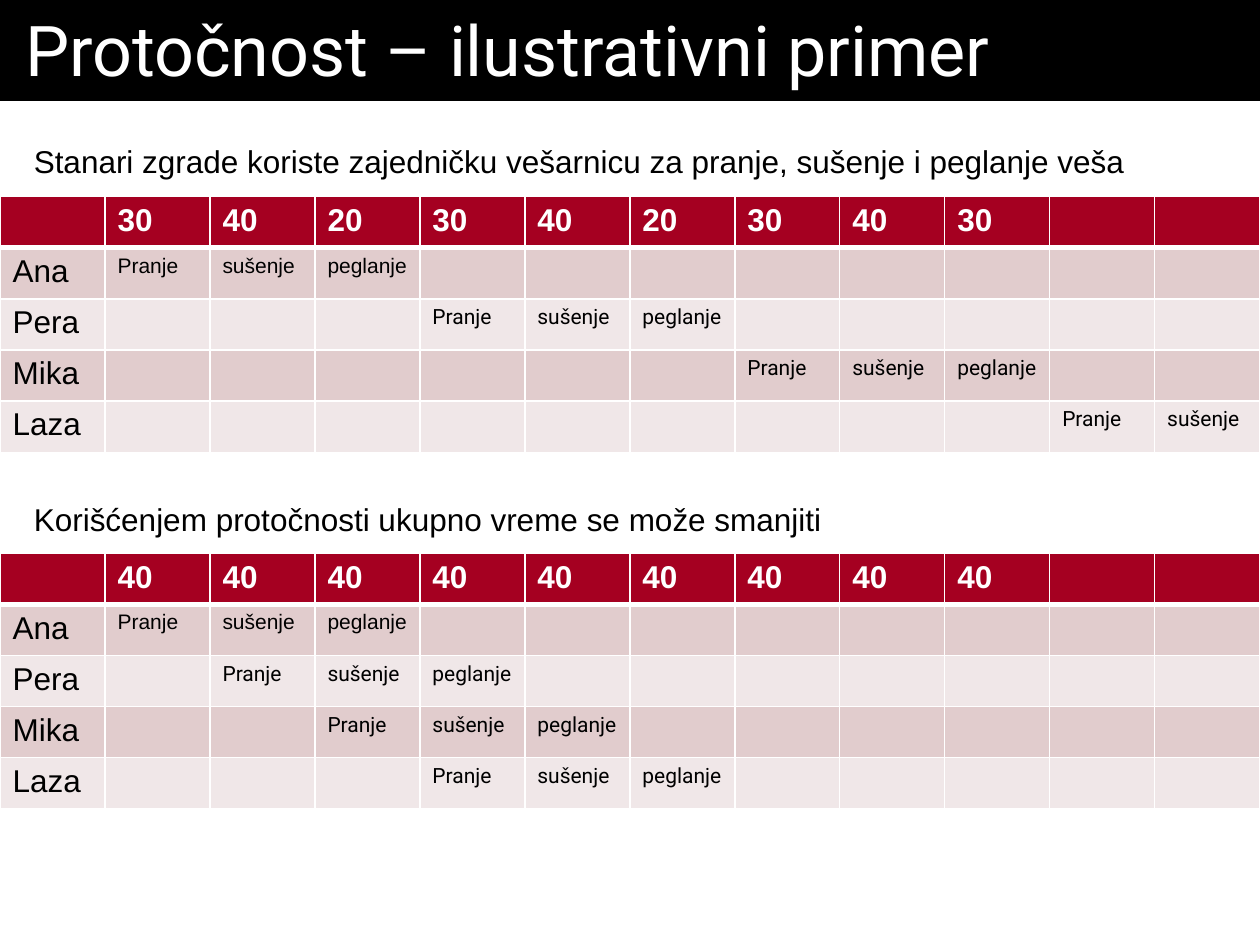
from lxml import etree
from pptx import Presentation
from pptx.dml.color import RGBColor
from pptx.enum.text import MSO_ANCHOR, MSO_AUTO_SIZE as AUTO, PP_ALIGN
from pptx.oxml.ns import qn
from pptx.util import Inches, Pt

BLACK = RGBColor(0x00, 0x00, 0x00)
WHITE = RGBColor(0xFF, 0xFF, 0xFF)
RED = RGBColor(0xA5, 0x00, 0x21)
DARK_BAND = RGBColor(0xE1, 0xCC, 0xCD)
LIGHT_BAND = RGBColor(0xF0, 0xE7, 0xE8)

TENANTS = ["Ana", "Pera", "Mika", "Laza"]
STAGES = ["Pranje", "sušenje", "peglanje"]
COLUMNS = 12


def write(tf, text, size=18, font="Arial", color=BLACK, bold=False):
    p = tf.paragraphs[0]
    p.alignment = PP_ALIGN.LEFT
    r = p.add_run()
    r.text = text
    r.font.size = Pt(size)
    r.font.name = font
    r.font.bold = bold
    r.font.color.rgb = color


def set_borders(cell, **widths):
    """Draw white cell borders; widths are points keyed by L, R, T and B."""
    tc_pr = cell._tc.get_or_add_tcPr()
    for side, width in widths.items():
        ln = etree.SubElement(tc_pr, qn(f"a:ln{side}"), w=str(Pt(width)))
        fill = etree.SubElement(ln, qn("a:solidFill"))
        etree.SubElement(fill, qn("a:srgbClr"), val=str(WHITE))


class Deck:
    def __init__(self, prs):
        self.s = prs.slides.add_slide(prs.slide_layouts[5])

    def title(self, text):
        sp = self.s.shapes.title
        sp.left, sp.top = Inches(0), Inches(0)
        sp.width, sp.height = Inches(10), Inches(0.77)
        sp.fill.solid()
        sp.fill.fore_color.rgb = BLACK
        tf = sp.text_frame
        tf.margin_left = tf.margin_right = Inches(0.2)
        tf.vertical_anchor = MSO_ANCHOR.MIDDLE
        tf.auto_size = AUTO.SHAPE_TO_FIT_TEXT
        write(tf, text, size=40, font="Roboto", color=WHITE)

    def caption(self, text, top, width):
        sp = self.s.shapes.add_textbox(Inches(0.17), Inches(top), Inches(width), Inches(0.4))
        tf = sp.text_frame
        tf.word_wrap = False
        tf.auto_size = AUTO.SHAPE_TO_FIT_TEXT
        write(tf, text)

    def schedule(self, top, times, step):
        """Each tenant starts `step` columns after the previous one."""
        rows = len(TENANTS) + 1
        frame = self.s.shapes.add_table(rows, COLUMNS, Inches(0), Inches(top),
                                        Inches(10), Inches(2.03))
        table = frame.table

        # Cell fills and borders
        for row in range(rows):
            band = RED if row == 0 else DARK_BAND if row % 2 else LIGHT_BAND
            for col in range(COLUMNS):
                cell = table.cell(row, col)
                set_borders(cell, L=1, R=1, T=3 if row == 1 else 1, B=3 if row == 0 else 1)
                cell.fill.solid()
                cell.fill.fore_color.rgb = band

        # Header durations
        for col, time in enumerate(times, start=1):
            write(table.cell(0, col).text_frame, str(time), color=WHITE, bold=True)

        # Tenants and their stages, cut off at the last column
        for row, tenant in enumerate(TENANTS, start=1):
            write(table.cell(row, 0).text_frame, tenant)
            font = "Arial" if row == 1 else "Roboto"
            first = 1 + (row - 1) * step
            for col, stage in zip(range(first, COLUMNS), STAGES):
                write(table.cell(row, col).text_frame, stage, size=12, font=font)


def main():
    prs = Presentation()
    prs.slide_width, prs.slide_height = Inches(10), Inches(7.5)
    deck = Deck(prs)
    deck.title("Protočnost – ilustrativni primer")

    # Sequential and pipelined laundry
    deck.schedule(1.56, [30, 40, 20, 30, 40, 20, 30, 40, 30], step=3)
    deck.schedule(4.39, [40] * 9, step=1)
    deck.caption("Stanari zgrade koriste zajedničku vešarnicu za pranje, sušenje i peglanje veša",
                 1.08, 8.94)
    deck.caption("Korišćenjem protočnosti ukupno vreme se može smanjiti", 3.92, 6.46)
    prs.save("out.pptx")


if __name__ == "__main__":
    main()
